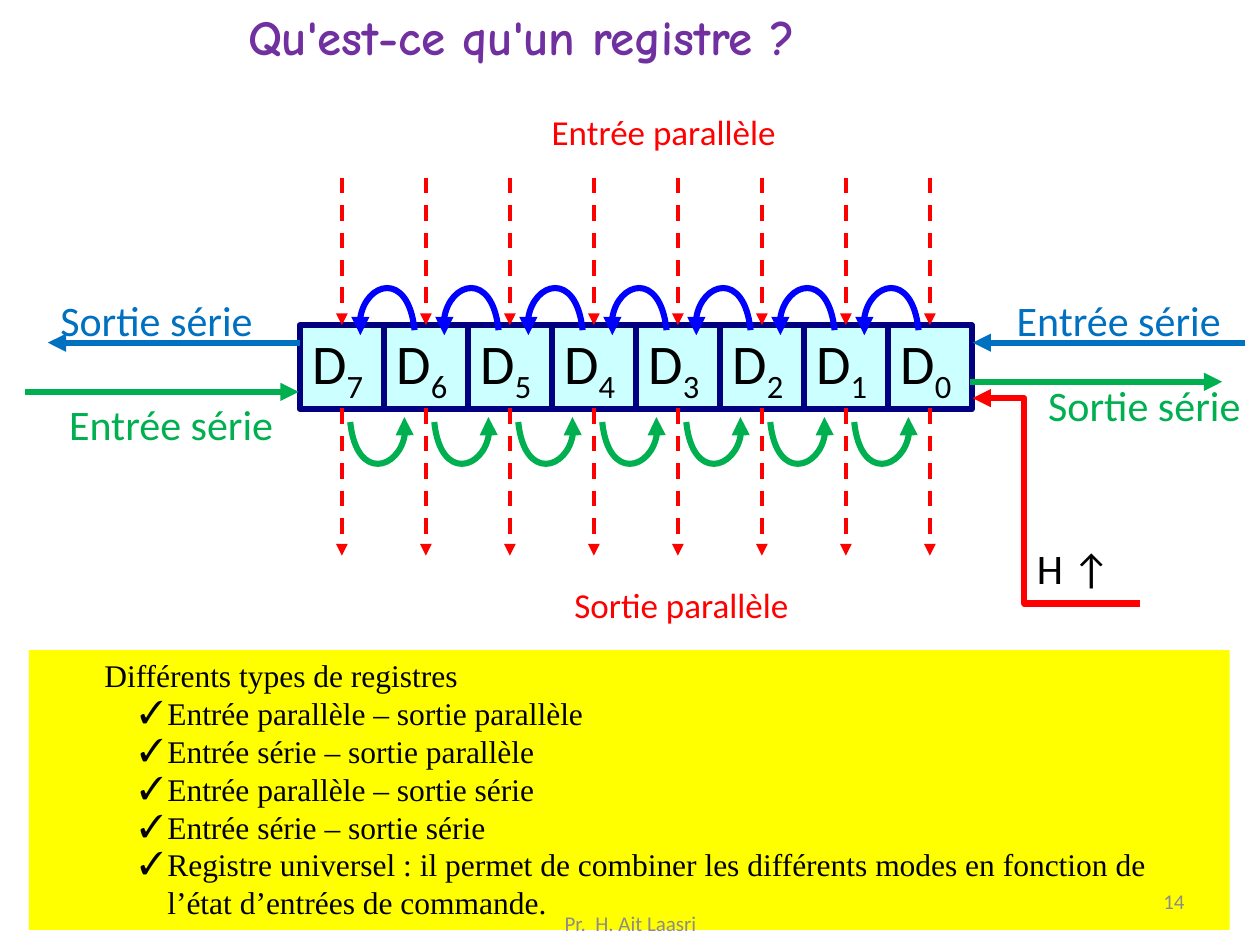
import pptx
import pptx.util
import pptx.dml.color
import pptx.enum.dml
import pptx.enum.shapes
import pptx.enum.text
import pptx.oxml.ns
import lxml.etree

Inches, Pt = pptx.util.Inches, pptx.util.Pt
Align, Anchor = pptx.enum.text.PP_ALIGN, pptx.enum.text.MSO_ANCHOR
RED, BLUE, GREEN, GRAY = "FF0000", "0070C0", "00B050", "8C8C8C"

BITS = 8
LEFT, TOP, SIDE = 2.38, 2.58, 2 / 3
LABELS = [
    ("Entrée parallèle", (4.28, 0.83, 2, 0.44), dict(size=20, color=RED)),
    ("Sortie parallèle", (4.46, 4.58, 1.93, 0.44), dict(size=20, color=RED)),
    ("Sortie série", (0.38, 2.29, 1.75, 0.51), dict(color=BLUE)),
    ("Entrée série", (7.97, 2.29, 1.84, 0.51), dict(color=BLUE)),
    ("H ↑", (8.13, 4.26, 1.95, 0.5), dict(wrap=True)),
    ("Entrée série", (0.45, 3.11, 1.84, 0.51), dict(color=GREEN)),
    ("Sortie série", (8.22, 2.96, 1.75, 0.51), dict(color=GREEN)),
    ("Qu'est-ce qu'un registre ?", (1.87, 0, 5.41, 0.57),
     dict(size=28, color="7030A0", face="Comic Neue", bold=True)),
]
FOOTERS = [
    ("14", (7.17, 6.95, 2.33, 0.4), Align.RIGHT),
    ("Pr.  H. Ait Laasri", (3.42, 7.13, 3.17, 0.4), Align.CENTER),
]
SERIAL = [
    ((2.38, 2.72), (0.38, 2.72), BLUE),
    ((9.88, 2.72), (7.72, 2.72), BLUE),
    ((0.2, 3.11), (2.37, 3.11), GREEN),
    ((7.7, 3.03), (9.7, 3.03), GREEN),
]
CLOCK = [(9.05, 4.79), (8.13, 4.79), (8.13, 3.16), (7.72, 3.16)]
ARCS = [
    ([(3.29, 2.62), (3.24, 2.14), (2.8, 2.26), (2.86, 2.66)], "0000FF"),
    ([(2.78, 3.35), (2.83, 3.83), (3.28, 3.7), (3.21, 3.31)], GREEN),
]
HEADING = "Différents types de registres"
TYPES = [
    "Entrée parallèle – sortie parallèle",
    "Entrée série – sortie parallèle",
    "Entrée parallèle – sortie série",
    "Entrée série – sortie série",
    "Registre universel : il permet de combiner les différents modes "
    "en fonction de l’état d’entrées de commande.",
]

deck = pptx.Presentation()
deck.slide_width, deck.slide_height = Inches(10), Inches(7.5)
slide = deck.slides.add_slide(deck.slide_layouts[6])
shapes = slide.shapes


def rgb(code):
    return pptx.dml.color.RGBColor.from_string(code)


def node(parent, tag, **attrs):
    return lxml.etree.SubElement(parent, pptx.oxml.ns.qn(tag), attrs)


def write(para, text, size=24, color="000000", face="Calibri", bold=False, base=0):
    run = para.add_run()
    run.text = text
    font = run.font
    font.size, font.name, font.bold = Pt(size), face, bold
    font.color.rgb = rgb(color)
    if base:
        run._r.get_or_add_rPr().set("baseline", str(base * 1000))


def label(text, place, wrap=False, align=Align.LEFT, anchor=Anchor.TOP, **style):
    frame = shapes.add_textbox(*map(Inches, place)).text_frame
    frame.word_wrap, frame.vertical_anchor = wrap, anchor
    para = frame.paragraphs[0]
    para.alignment = align
    write(para, text, **style)


def block(place, fill, edge=None):
    box = shapes.add_shape(pptx.enum.shapes.MSO_SHAPE.RECTANGLE, *map(Inches, place))
    box.shadow.inherit = False
    box.fill.solid()
    box.fill.fore_color.rgb = rgb(fill)
    if edge:
        box.line.color.rgb, box.line.width = rgb(edge), Pt(3.5)
    else:
        box.line.fill.background()
    return box.text_frame


def tip(line, color, width):
    line.color.rgb, line.width = rgb(color), Pt(width)
    node(line._get_or_add_ln(), "a:tailEnd", type="triangle")


def arrow(start, end, color, width=3.5, dash=False):
    link = shapes.add_connector(pptx.enum.shapes.MSO_CONNECTOR.STRAIGHT,
                                *map(Inches, start + end))
    if dash:
        link.line.dash_style = pptx.enum.dml.MSO_LINE.DASH
    tip(link.line, color, width)
    node(link._element.spPr, "a:effectLst")


def trace(points, color, curve=False):
    spots = [(Inches(x), Inches(y)) for x, y in points]
    pen = shapes.build_freeform(*spots[0])
    pen.add_line_segments(spots[1:], close=False)
    shape = pen.convert_to_shape()
    shape.shadow.inherit = False
    shape.fill.background()
    tip(shape.line, color, 3.5)
    if curve:
        sides = list(shape._element.iter(pptx.oxml.ns.qn("a:lnTo")))
        bend = node(sides[0].getparent(), "a:cubicBezTo")
        for side in sides:
            bend.append(side[0])
            side.getparent().remove(side)


for bit in range(BITS):
    frame = block((LEFT + bit * SIDE, TOP, SIDE, SIDE), "CCFFFF", "000080")
    frame.word_wrap, frame.vertical_anchor = False, Anchor.MIDDLE
    para = frame.paragraphs[0]
    para.alignment = Align.LEFT
    write(para, "D", size=32)
    write(para, str(BITS - 1 - bit), size=32, base=-25)

for y in (1.41, 3.24):
    for bit in range(BITS):
        mid = LEFT + (bit + 0.5) * SIDE
        arrow((mid, y), (mid, y + 1.17), RED, 2.25, True)

for start, end, color in SERIAL:
    arrow(start, end, color)
trace(CLOCK, RED)
for knots, color in ARCS:
    for bit in range(BITS - 1):
        trace([(x + bit * SIDE, y) for x, y in knots], color, True)

frame = block((0.23, 5.16, 9.53, 2.22), "FFFF00")
frame.word_wrap, frame.vertical_anchor = True, Anchor.TOP
for row, text in enumerate([HEADING] + TYPES):
    para = frame.add_paragraph() if row else frame.paragraphs[0]
    para.alignment, para.line_spacing = Align.LEFT, Pt(21.6)
    para.level = 2 if row else 1
    props = para._p.get_or_add_pPr()
    props.set("marL", str(Inches(1 if row else 0.5)))
    props.set("indent", str(Inches(-0.22 if row else 0)))
    if row:
        node(props, "a:buFont", typeface="Times New Roman")
        node(props, "a:buChar", char="✓")
    write(para, text, size=18, face="Times New Roman")

for text, place, style in LABELS:
    label(text, place, **style)
for text, place, align in FOOTERS:
    label(text, place, wrap=True, align=align, anchor=Anchor.MIDDLE, size=12, color=GRAY)

deck.save("out.pptx")
